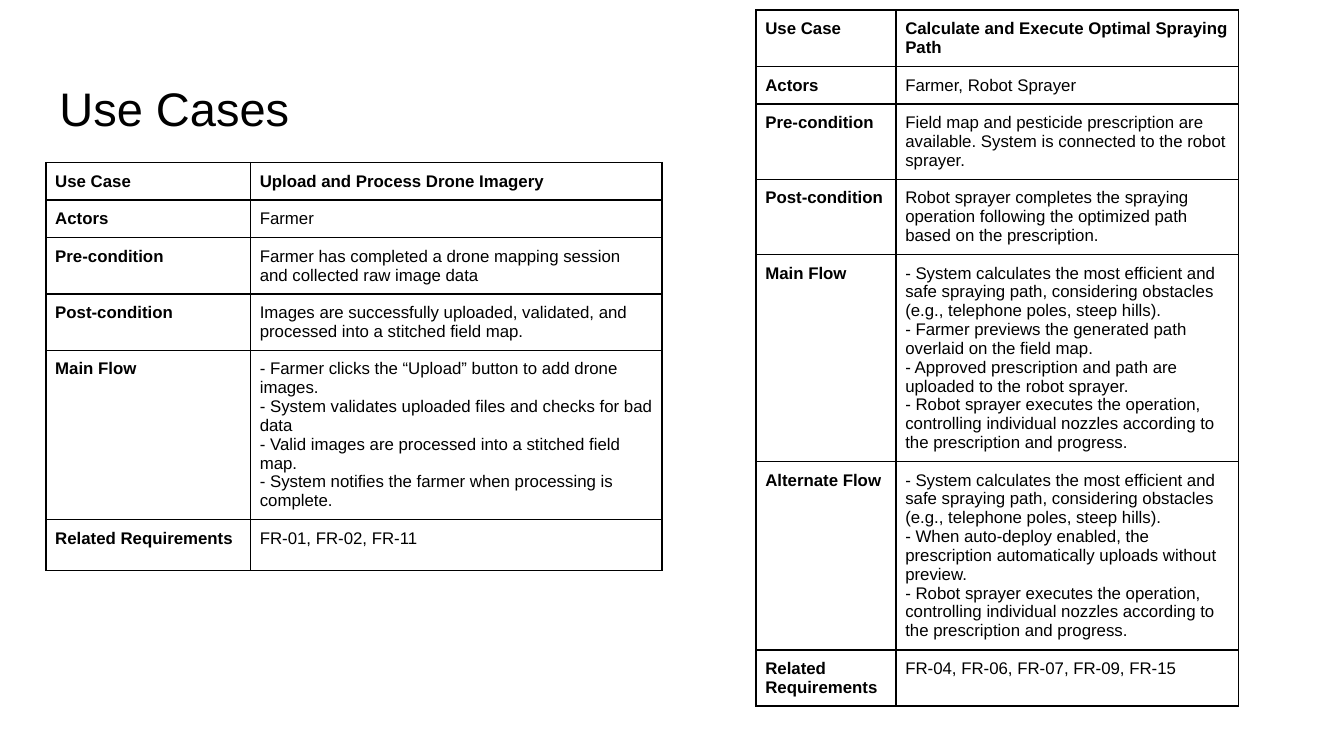
from lxml.etree import SubElement
from pptx import Presentation
from pptx.dml.color import RGBColor
from pptx.enum.shapes import PP_PLACEHOLDER as Holder
from pptx.enum.text import MSO_ANCHOR as Anchor, MSO_AUTO_SIZE as AutoSize, PP_ALIGN as Align
from pptx.oxml.ns import qn
from pptx.util import Pt

THEME = {
    "font": "Arial", "ink": "000000",
    "title_size": 25.2, "table_size": 9,
    "border": 1, "cell_margin": 5, "title_margin": 7.2,
}

SAFE_PATH = ("- System calculates the most efficient and safe spraying path, "
             "considering obstacles (e.g., telephone poles, steep hills).")
SPRAYING = ("- Robot sprayer executes the operation, controlling individual nozzles "
            "according to the prescription and progress.")

# Each row holds its least height, its label and its text; a new line is a new paragraph.
USE_CASES = [
    {"left": 24.6, "top": 87.1, "columns": (109.6, 220.4), "rows": [
        (17.3, "Use Case", "Upload and Process Drone Imagery"),
        (17.3, "Actors", "Farmer"),
        (27.4, "Pre-condition",
         "Farmer has completed a drone mapping session and collected raw image data"),
        (27.4, "Post-condition",
         "Images are successfully uploaded, validated, and processed into a stitched field map."),
        (86.4, "Main Flow", "\n".join([
            "- Farmer clicks the “Upload” button to add drone images.",
            "- System validates uploaded files and checks for bad data",
            "- Valid images are processed into a stitched field map.",
            "- System notifies the farmer when processing is complete."])),
        (27.2, "Related Requirements", "FR-01, FR-02, FR-11"),
    ]},
    {"left": 405, "top": 5.5, "columns": (75, 183.5), "rows": [
        (16.6, "Use Case", "Calculate and Execute Optimal Spraying Path"),
        (16.6, "Actors", "Farmer, Robot Sprayer"),
        (26.6, "Pre-condition", "Field map and pesticide prescription are available. "
                                "System is connected to the robot sprayer."),
        (36, "Post-condition", "Robot sprayer completes the spraying operation "
                               "following the optimized path based on the prescription."),
        (103, "Main Flow", "\n".join([
            SAFE_PATH,
            "- Farmer previews the generated path overlaid on the field map.",
            "- Approved prescription and path are uploaded to the robot sprayer.",
            SPRAYING])),
        (84.2, "Alternate Flow", "\n".join([
            SAFE_PATH,
            "- When auto-deploy enabled, the prescription automatically uploads without preview.",
            SPRAYING])),
        (26.6, "Related Requirements", "FR-04, FR-06, FR-07, FR-09, FR-15"),
    ]},
]


def write(frame, text, size, bold=False, margin=0, anchor=Anchor.TOP):
    frame.text = text
    frame.word_wrap = True
    frame.vertical_anchor = anchor
    frame.margin_left = frame.margin_right = Pt(margin)
    frame.margin_top = frame.margin_bottom = Pt(margin)
    for para in frame.paragraphs:
        para.alignment = Align.LEFT
        para.space_before = Pt(0)
        for span in para.runs:
            span.font.name = THEME["font"]
            span.font.size = Pt(size)
            span.font.bold = bold
            span.font.color.rgb = RGBColor.from_string(THEME["ink"])


def outline(cell):
    """Draw all four borders and clear the fill."""
    properties = cell._tc.get_or_add_tcPr()
    for side in ("lnL", "lnR", "lnT", "lnB"):
        line = SubElement(properties, qn(f"a:{side}"), w=str(Pt(THEME["border"])))
        paint = SubElement(line, qn("a:solidFill"))
        SubElement(paint, qn("a:srgbClr"), val=THEME["ink"])
    cell.fill.background()


deck = Presentation()
deck.slide_width, deck.slide_height = Pt(720), Pt(405)
layout = deck.slide_layouts.get_by_name("Title Only")

# Keep only the layout in use, and fit the template to the lower page.
for other in list(deck.slide_layouts):
    if other.name != layout.name:
        deck.slide_layouts.remove(other)
for sheet in (deck.slide_master, layout):
    for holder in list(sheet.placeholders):
        if holder.placeholder_format.type in (Holder.DATE, Holder.FOOTER, Holder.SLIDE_NUMBER):
            holder.element.getparent().remove(holder.element)
        elif holder.placeholder_format.type == Holder.BODY:
            holder.top, holder.height = Pt(95), Pt(270)

page = deck.slides.add_slide(layout)

title = page.shapes.title
title.left, title.top, title.width, title.height = Pt(24.6), Pt(35), Pt(671), Pt(45.4)
write(title.text_frame, "Use Cases", size=THEME["title_size"],
      margin=THEME["title_margin"], anchor=Anchor.MIDDLE)
title.text_frame.auto_size = AutoSize.NONE

for case in USE_CASES:
    rows, columns = case["rows"], case["columns"]
    box = page.shapes.add_table(
        len(rows), len(columns), Pt(case["left"]), Pt(case["top"]),
        Pt(sum(columns)), Pt(sum(row[0] for row in rows)))
    table = box.table
    table.first_row = table.horz_banding = False
    for column, width in zip(table.columns, columns):
        column.width = Pt(width)
    for row_index, (height, *texts) in enumerate(rows):
        table.rows[row_index].height = Pt(height)
        for column_index, text in enumerate(texts):
            cell = table.cell(row_index, column_index)
            write(cell.text_frame, text, size=THEME["table_size"],
                  bold=row_index == 0 or column_index == 0)
            cell.margin_left = cell.margin_right = Pt(THEME["cell_margin"])
            cell.margin_top = cell.margin_bottom = Pt(THEME["cell_margin"])
            cell.vertical_anchor = Anchor.TOP
            outline(cell)

deck.save("out.pptx")
